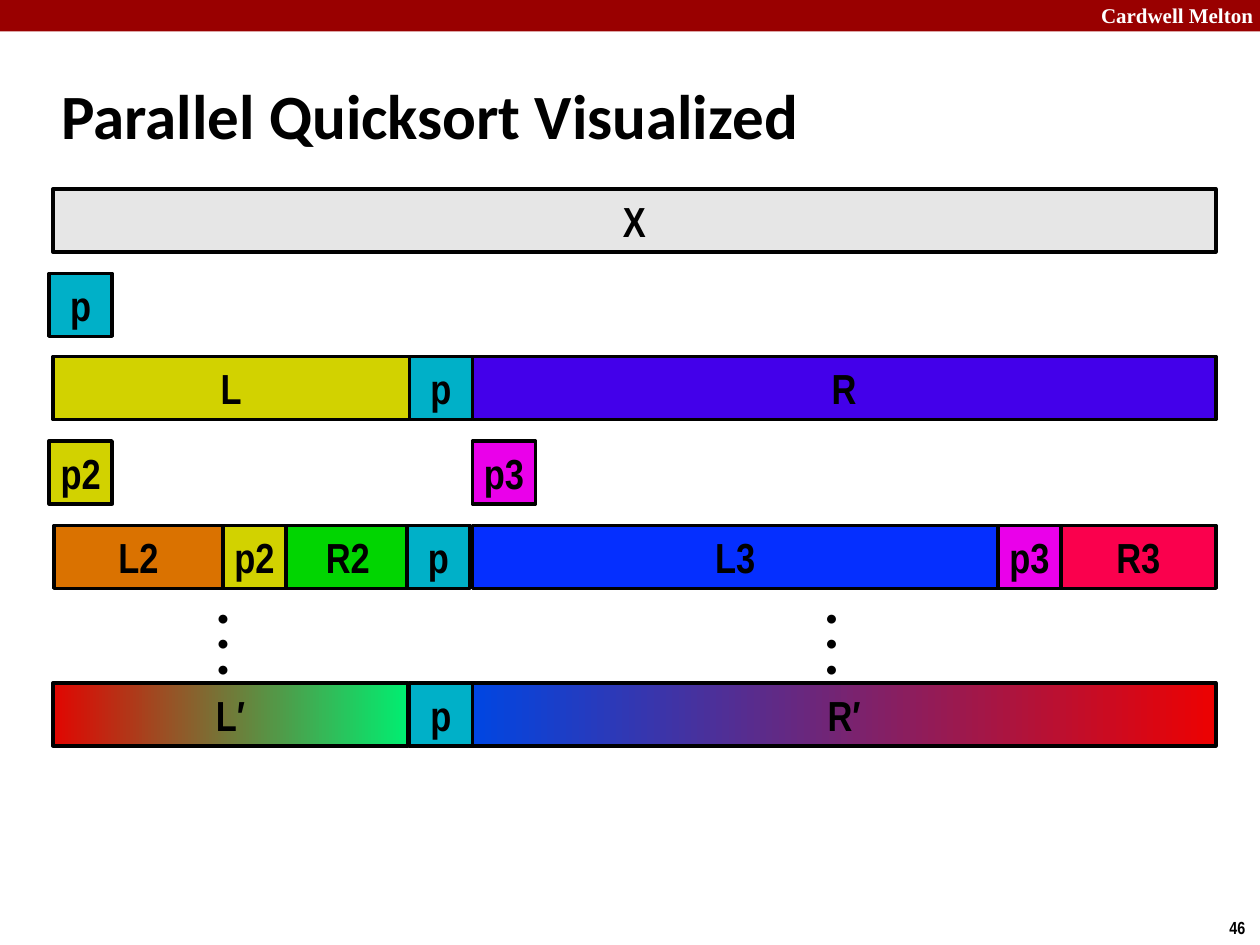
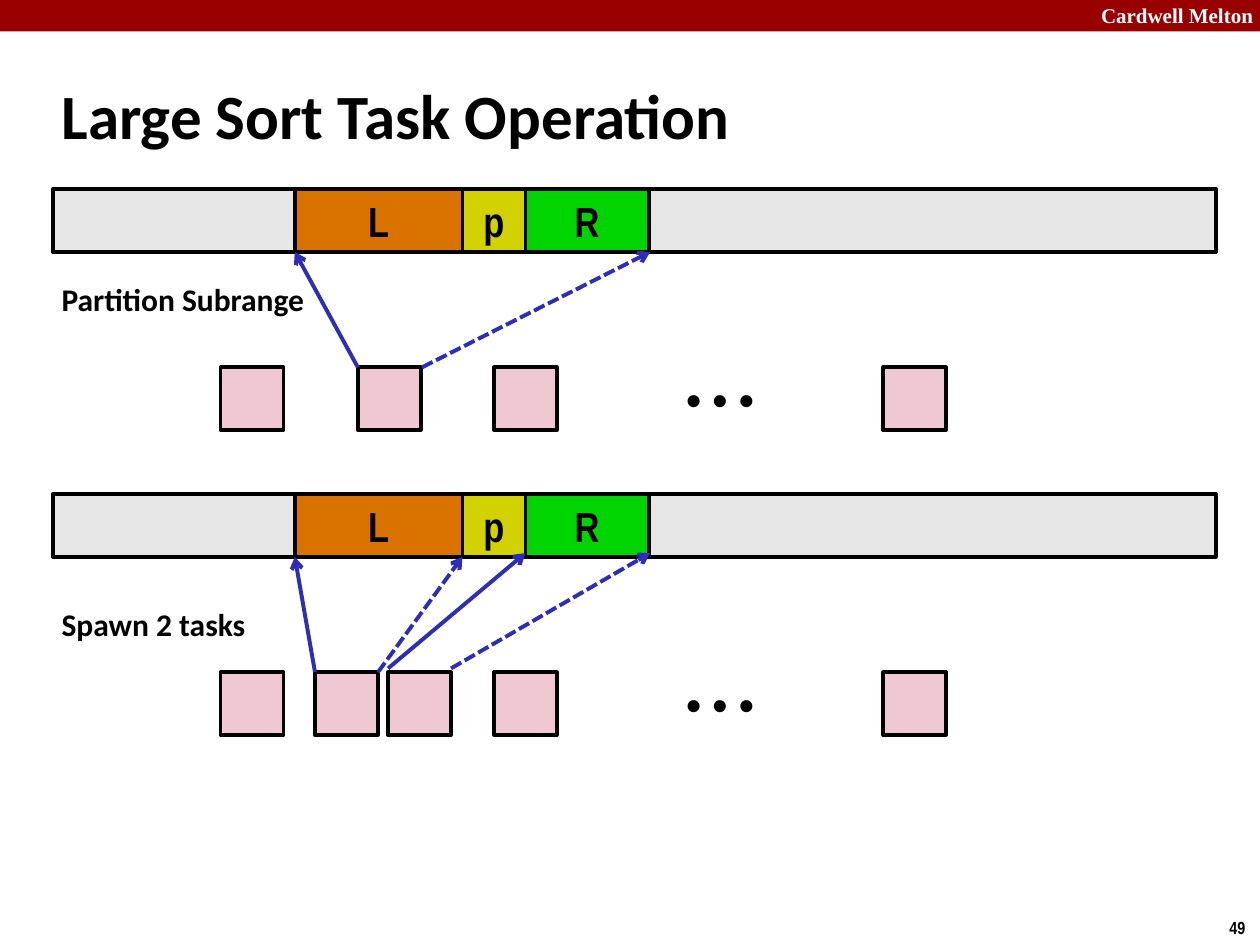
from pptx import Presentation
from pptx.dml.color import RGBColor
from pptx.enum.dml import MSO_LINE
from pptx.enum.shapes import MSO_CONNECTOR, MSO_SHAPE
from pptx.enum.text import MSO_ANCHOR, PP_ALIGN
from pptx.oxml.ns import qn
from pptx.util import Inches, Pt
from lxml import etree

RECTANGLE = MSO_SHAPE.RECTANGLE
STRAIGHT = MSO_CONNECTOR.STRAIGHT
SHORT_DASH = MSO_LINE.SQUARE_DOT
CENTER, LEFT = PP_ALIGN.CENTER, PP_ALIGN.LEFT
MIDDLE, TOP = MSO_ANCHOR.MIDDLE, MSO_ANCHOR.TOP

# Shared colours and measures
BLACK, WHITE, BAND_RED = "000000", "FFFFFF", "990000"
GRAY, PINK, ARROW_BLUE = "E6E6E6", "F0C8D3", "2D2DB9"
TEAL, YELLOW, PURPLE, MAGENTA = "00B0C8", "D2D200", "4300EA", "EA00EA"
ORANGE, GREEN, BLUE, CRIMSON = "DA7200", "01D501", "052FFF", "FA004D"
CELL = 0.5
ARRAY_LEFT, ARRAY_WIDTH = 0.42, 9.23
MARGIN = 0.39
BRAND = "Cardwell Melton"

# Quicksort steps: (top, left, [(label, width, fill), ...]); a fill pair is a gradient
STEPS = [
    (1.5, ARRAY_LEFT, [("X", ARRAY_WIDTH, GRAY)]),
    (2.17, MARGIN, [("p", CELL, TEAL)]),
    (2.83, ARRAY_LEFT, [("L", 2.83, YELLOW), ("p", CELL, TEAL), ("R", 5.9, PURPLE)]),
    (3.5, MARGIN, [("p2", CELL, YELLOW)]),
    (3.5, 3.75, [("p3", CELL, MAGENTA)]),
    (4.17, 0.43, [("L2", 1.34, ORANGE), ("p2", CELL, YELLOW), ("R2", 0.98, GREEN)]),
    (4.17, 3.75, [("L3", 4.17, BLUE), ("p3", CELL, MAGENTA), ("R3", 1.23, CRIMSON)]),
    (4.17, 3.23, [("p", CELL, TEAL)]),
    (5.42, ARRAY_LEFT, [("L′", 2.82, ("E10601", "00EE71"))]),
    (5.42, 3.75, [("R′", 5.9, ("0046E2", "ED0101"))]),
    (5.42, 3.25, [("p", CELL, TEAL)]),
]
DOT_COLUMNS = [1.63, 6.46]

# Sort task panels; arrows are (from x, to x, dashed, rise above the usual ends)
SUBRANGE_LEFT = 2.34
SUBRANGE = [("L", 1.33, ORANGE), ("p", CELL, YELLOW), ("R", 0.98, GREEN)]
TASK_DROP = 1.415
PANELS = [
    {"top": 1.5, "caption": ("Partition Subrange", 2.17, 2.17),
     "tasks": [1.75, 2.84, 3.92, 7.01],
     "arrows": [(3.35, 5.16, True, 0), (2.84, 2.34, False, 0)]},
    {"top": 3.92, "caption": ("Spawn 2 tasks", 4.75, 1.68),
     "tasks": [1.75, 2.5, 3.08, 3.92, 7.01],
     "arrows": [(3, 3.67, True, 0), (2.5, 2.34, False, 0),
                (3.58, 5.16, True, 0.03), (3.08, 4.17, False, 0.03)]},
]


def color(value):
    return RGBColor.from_string(value)


def write(shape, text, font="Arial Narrow", size=24, ink=BLACK,
          align=CENTER, anchor=MIDDLE, wrap=False):
    frame = shape.text_frame
    frame.word_wrap = wrap
    frame.vertical_anchor = anchor
    frame.text = text
    for paragraph in frame.paragraphs:
        paragraph.alignment = align
        for run in paragraph.runs:
            run.font.name = font
            run.font.size = Pt(size)
            run.font.bold = True
            run.font.color.rgb = color(ink)


def add_text(slide, text, left, top, width, height, **text_format):
    box = slide.shapes.add_textbox(*map(Inches, (left, top, width, height)))
    write(box, text, **text_format)


def add_box(slide, left, top, width, height, fill, label="", outlined=True):
    shape = slide.shapes.add_shape(
        RECTANGLE, *map(Inches, (left, top, width, height)))
    shape.shadow.inherit = False
    if isinstance(fill, tuple):
        shape.fill.gradient()
        shape.fill.gradient_angle = 0
        for stop, stop_color in zip(shape.fill.gradient_stops, fill):
            stop.color.rgb = color(stop_color)
    else:
        shape.fill.solid()
        shape.fill.fore_color.rgb = color(fill)
    if outlined:
        shape.line.color.rgb = color(BLACK)
        shape.line.width = Pt(2)
    else:
        shape.line.fill.background()
    if label:
        write(shape, label)


def add_cells(slide, left, top, cells):
    """Lay labelled cells side by side, starting at left."""
    for label, width, fill in cells:
        add_box(slide, left, top, width, CELL, fill, label)
        left += width


def add_arrow(slide, start_x, start_y, end_x, end_y, dashed):
    connector = slide.shapes.add_connector(
        STRAIGHT, *map(Inches, (start_x, start_y, end_x, end_y)))
    connector.line.color.rgb = color(ARROW_BLUE)
    connector.line.width = Pt(2.25)
    if dashed:
        connector.line.dash_style = SHORT_DASH
    properties = connector._element.spPr
    line = properties.find(qn("a:ln"))
    etree.SubElement(line, qn("a:tailEnd"), type="arrow")
    etree.SubElement(properties, qn("a:effectLst"))


def new_slide(presentation, title, number):
    """Start a slide with the top band, brand, page number and title."""
    slide = presentation.slides.add_slide(presentation.slide_layouts[6])
    add_box(slide, 0, 0, 10, 0.25, BAND_RED, outlined=False)
    add_text(slide, BRAND, 8.64, -0.03, 1.43, 0.3, font="Times New Roman",
             size=12, ink=WHITE, align=LEFT, anchor=TOP)
    add_text(slide, str(number), 9.66, 7.23, 0.34, 0.27, size=10,
             align=LEFT, anchor=TOP)
    add_text(slide, title, MARGIN, 0.49, 8.3, 0.83, font="Calibri", size=36,
             align=LEFT, wrap=True)
    return slide


def build_quicksort(presentation):
    slide = new_slide(presentation, "Parallel Quicksort Visualized", 46)
    for top, left, cells in STEPS:
        add_cells(slide, left, top, cells)
    for left in DOT_COLUMNS:
        add_text(slide, "•\n•\n•", left, 4.75, 0.28, 0.71, font="Calibri",
                 size=12, align=LEFT, anchor=TOP)


def build_sort_task(presentation):
    slide = new_slide(presentation, "Large Sort Task Operation", 49)
    for panel in PANELS:
        top = panel["top"]
        task_top = top + TASK_DROP
        # Array with its active subrange
        add_box(slide, ARRAY_LEFT, top, ARRAY_WIDTH, CELL, GRAY)
        add_cells(slide, SUBRANGE_LEFT, top, SUBRANGE)
        # Queue of tasks
        for left in panel["tasks"]:
            add_box(slide, left, task_top, CELL, CELL, PINK)
        add_text(slide, "• • •", 4.42, task_top, 2.59, CELL, font="Arial")
        # Pointers from tasks to range ends
        for start_x, end_x, dashed, rise in panel["arrows"]:
            add_arrow(slide, start_x, task_top - rise,
                      end_x, top + CELL - rise, dashed)
        caption, caption_top, width = panel["caption"]
        add_text(slide, caption, MARGIN, caption_top, width, 0.4,
                 font="Calibri", size=18, align=LEFT, anchor=TOP)


def main():
    presentation = Presentation()
    presentation.slide_width = Inches(10)
    presentation.slide_height = Inches(7.5)
    build_quicksort(presentation)
    build_sort_task(presentation)
    presentation.save("out.pptx")


if __name__ == "__main__":
    main()
